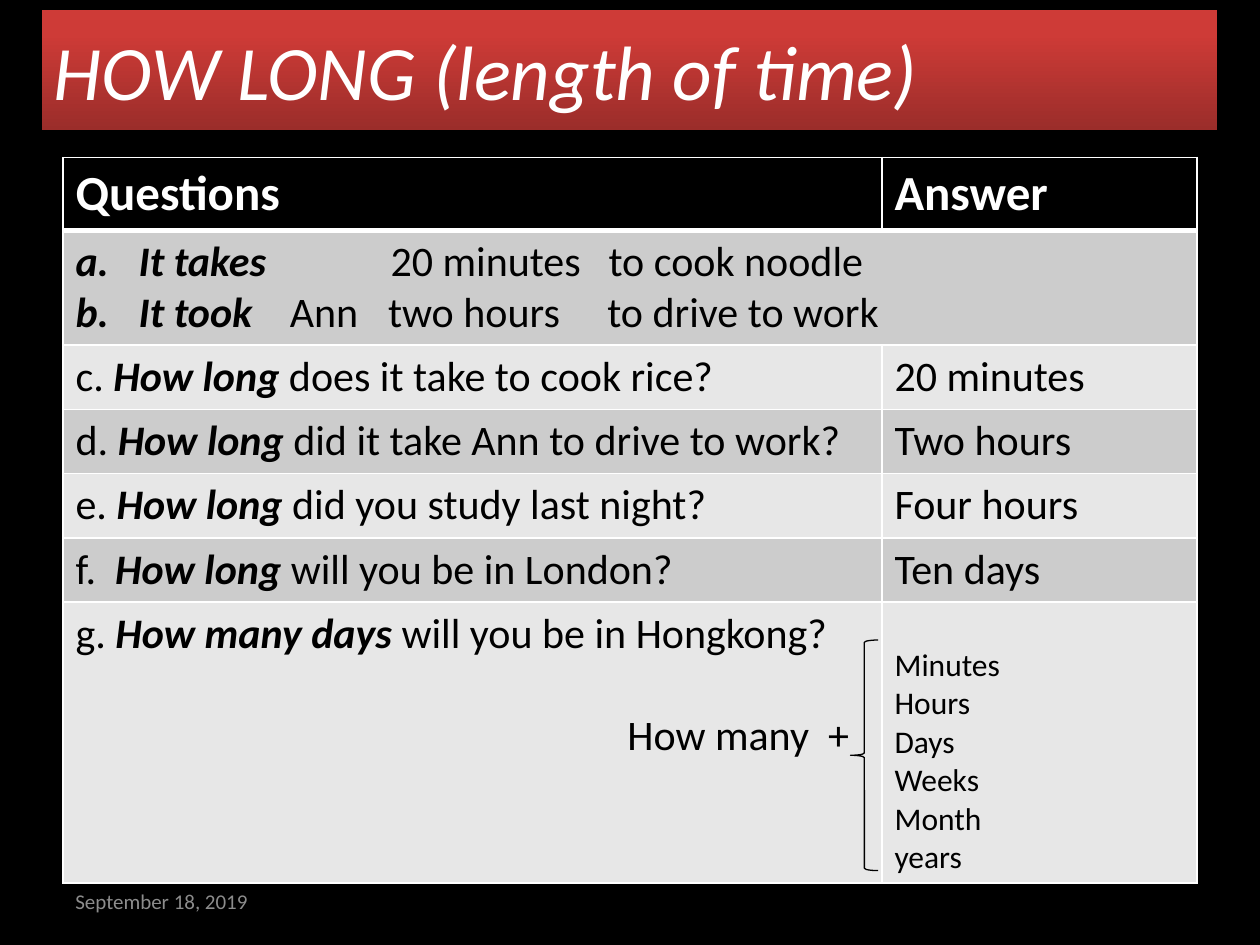
import pptx
import pptx.util
import pptx.dml.color
import pptx.enum.shapes
import pptx.enum.text
import pptx.oxml
import pptx.oxml.ns

Inches, Pt = pptx.util.Inches, pptx.util.Pt
RGB = pptx.dml.color.RGBColor.from_string
MID = pptx.enum.text.MSO_ANCHOR.MIDDLE
NS = pptx.oxml.ns.nsdecls("a")
HUES = {"black": "000000", "white": "FFFFFF", "dark": "CCCCCC", "pale": "E7E7E7",
        "gray": "8C8C8C", "deep": "9B2D2A", "red": "CE3B37"}


def style(para, size, hue="black", bold=False, italic=False):
    font = para.font
    font.name, font.size, font.bold, font.italic = "Calibri", Pt(size), bold, italic
    font.color.rgb = RGB(HUES[hue])


def write(para, parts, size=24):
    """Fill a paragraph with runs; a part that starts with * is bold italic."""
    style(para, size)
    for part in parts:
        run = para.add_run()
        run.text = part.lstrip("*")
        if part.startswith("*"):
            run.font.bold = run.font.italic = True


deck = pptx.Presentation()
deck.slide_width, deck.slide_height = Inches(10), Inches(7.5)
slide = deck.slides.add_slide(deck.slide_layouts[6])
back = slide.background.fill
back.solid()
back.fore_color.rgb = RGB(HUES["black"])

# Title bar and date
for text, left, top, width, height, size, hue, italic in (
        ("HOW LONG (length of time)", 0.33, 0.08, 9.33, 0.95, 44, "white", True),
        ("September 18, 2019", 0.5, 6.95, 2.33, 0.4, 12, "gray", False)):
    box = slide.shapes.add_textbox(Inches(left), Inches(top), Inches(width), Inches(height))
    box.text_frame.word_wrap = True
    box.text_frame.vertical_anchor = MID
    para = box.text_frame.paragraphs[0]
    para.text = text
    style(para, size, hue, italic=italic)
    if italic:
        box.fill.gradient()
        box.fill.gradient_angle = 90
        for stop, spot, tone in zip(box.fill.gradient_stops, (0, 0.8), ("deep", "red")):
            stop.position = spot
            stop.color.rgb = RGB(HUES[tone])

# Table grid
highs = [0.58, 0.91, 0.51, 0.51, 0.51, 0.51, 2.23]
table = slide.shapes.add_table(len(highs), 2, Inches(0.5), Inches(1.25),
                               Inches(9), Inches(sum(highs))).table
for col, width in zip(table.columns, (6.5, 2.5)):
    col.width = Inches(width)
for i, high in enumerate(highs):
    table.rows[i].height = Inches(high)
    for cell in table.rows[i].cells:
        cell.fill.solid()
        cell.fill.fore_color.rgb = RGB(HUES["black" if i == 0 else "dark" if i % 2 else "pale"])
        for k, side in enumerate("LRTB"):
            thick = 3 if (i, side) in ((0, "B"), (1, "T")) else 1
            cell._tc.get_or_add_tcPr().insert(k, pptx.oxml.parse_xml(
                f'<a:ln{side} {NS} w="{Pt(thick)}"><a:solidFill>'
                f'<a:srgbClr val="{HUES["white"]}"/></a:solidFill></a:ln{side}>'))
table.cell(1, 0).merge(table.cell(1, 1))

# Heading row
for j, text in enumerate(("Questions", "Answer")):
    para = table.cell(0, j).text_frame.paragraphs[0]
    para.text = text
    style(para, 28, "white", bold=True)

# Lettered examples, spaced with tabs
frame = table.cell(1, 0).text_frame
frame.add_paragraph()
examples = (((2.5, 4.23), ["*It takes", "\t20 minutes\tto cook noodle"]),
            ((1.7, 2.48, 4.22), ["*It took", "\tAnn\ttwo hours\tto drive to work"]))
for para, (stops, parts) in zip(frame.paragraphs, examples):
    props = para._p.get_or_add_pPr()
    props.set("marL", str(Inches(0.5)))
    props.set("indent", str(Inches(-0.5)))
    props.append(pptx.oxml.parse_xml(f'<a:buAutoNum {NS} type="alphaLcPeriod"/>'))
    tabs = "".join(f'<a:tab pos="{Inches(stop)}" algn="l"/>' for stop in stops)
    props.append(pptx.oxml.parse_xml(f"<a:tabLst {NS}>{tabs}</a:tabLst>"))
    write(para, parts)

# Questions and answers
pairs = ((["c. ", "*How long", " does it take to cook rice?"], "20 minutes"),
         (["d. ", "*How long", " did it take Ann to drive to work?"], "Two hours"),
         (["e. ", "*How long", " did you study last night?"], "Four hours"),
         (["f.  ", "*How long ", "will you be in London?"], "Ten days"))
for i, (ask, reply) in enumerate(pairs, 2):
    write(table.cell(i, 0).text_frame.paragraphs[0], ask)
    write(table.cell(i, 1).text_frame.paragraphs[0], [reply])

# How many + units
frame = table.cell(6, 0).text_frame
write(frame.paragraphs[0], ["g. ", "*How many days", " will you be in Hongkong?"])
para = frame.add_paragraph()
para._p.get_or_add_pPr().set("marL", str(Inches(4.38)))
para.space_before = Pt(29)
write(para, ["How many  +"])

cell = table.cell(6, 1)
cell.margin_top = Inches(0.35)
for i, unit in enumerate(("Minutes", "Hours", "Days", "Weeks", "Month", "years")):
    para = cell.text_frame.add_paragraph() if i else cell.text_frame.paragraphs[0]
    write(para, [unit], 18)

brace = slide.shapes.add_shape(pptx.enum.shapes.MSO_SHAPE.LEFT_BRACE, Inches(6.75),
                               Inches(5.08), Inches(0.22), Inches(1.83))
brace.shadow.inherit = False
brace.fill.background()
brace.line.color.rgb = RGB(HUES["black"])
brace.line.width = Pt(0.75)

deck.save("out.pptx")
